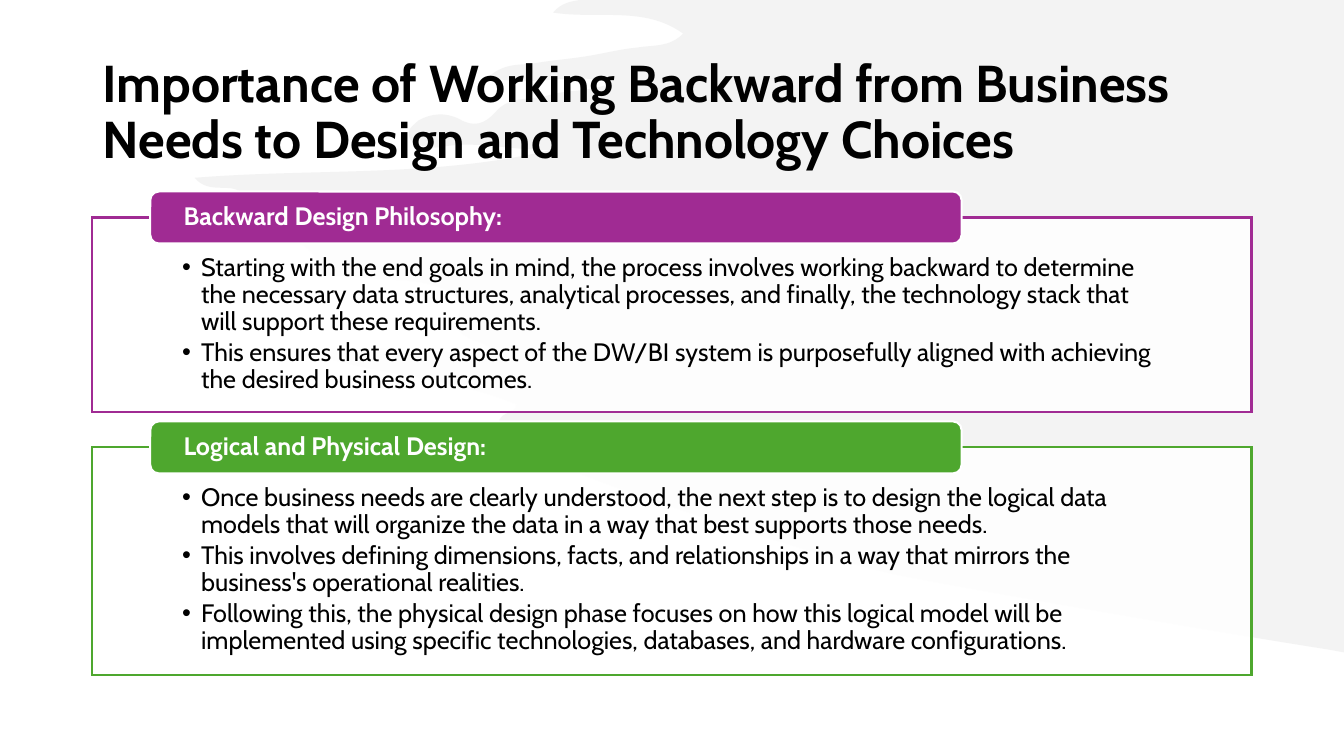
from dataclasses import dataclass
from typing import Any

from lxml.etree import SubElement
from pptx import Presentation
from pptx.dml.color import RGBColor
from pptx.enum.shapes import MSO_SHAPE
from pptx.enum.text import MSO_ANCHOR, PP_ALIGN
from pptx.oxml.ns import qn
from pptx.util import Pt

FONT = "Cabin"
COLORS = {
    "black": "000000",
    "white": "FFFFFF",
    "brush": "E8E8E8",
    "purple": "A02B93",
    "green": "4EA72E",
}

# Brush-stroke outline: a start point, then cubic curves (two controls and an end)
BRUSH_START = (414, 0)
BRUSH_CURVES = [
    (408, 1, 401, 2, 395, 9), (428, 14, 460, 4, 488, 24),
    (478, 34, 467, 32, 455, 34), (444, 35, 432, 38, 420, 40),
    (408, 42, 395, 43, 383, 45), (373, 47, 361, 44, 349, 55),
    (379, 63, 408, 51, 438, 59), (420, 66, 405, 64, 392, 68),
    (379, 72, 364, 68, 354, 80), (346, 89, 338, 91, 328, 85),
    (318, 80, 308, 81, 299, 86), (296, 89, 292, 91, 292, 95),
    (292, 102, 297, 103, 301, 104), (305, 105, 310, 106, 315, 105),
    (341, 100, 367, 108, 394, 107), (310, 127, 226, 120, 139, 127),
    (150, 140, 165, 129, 174, 139), (166, 160, 168, 171, 186, 172),
    (202, 174, 219, 166, 228, 191), (230, 199, 246, 197, 256, 198),
    (276, 201, 298, 198, 318, 207), (326, 211, 331, 214, 328, 224),
    (323, 234, 328, 238, 336, 242), (341, 245, 348, 244, 352, 253),
    (308, 252, 266, 245, 222, 252), (270, 269, 322, 269, 369, 289),
    (367, 297, 356, 293, 356, 304), (380, 315, 410, 307, 436, 324),
    (420, 332, 407, 320, 392, 327), (397, 338, 605, 404, 642, 411),
    (704, 423, 860, 450, 949, 464),
]
BRUSH_CORNERS = [(960, 466), (960, 0)]


@dataclass
class Panel:
    heading: str
    points: list[str]
    color: str
    top: float
    height: float


PANELS = [
    Panel(
        "Backward Design Philosophy:",
        [
            "Starting with the end goals in mind, the process involves working backward to "
            "determine the necessary data structures, analytical processes, and finally, the "
            "technology stack that will support these requirements.",
            "This ensures that every aspect of the DW/BI system is purposefully aligned with "
            "achieving the desired business outcomes.",
        ],
        "purple", 155.4, 139,
    ),
    Panel(
        "Logical and Physical Design:",
        [
            "Once business needs are clearly understood, the next step is to design the logical "
            "data models that will organize the data in a way that best supports those needs.",
            "This involves defining dimensions, facts, and relationships in a way that mirrors "
            "the business's operational realities.",
            "Following this, the physical design phase focuses on how this logical model will be "
            "implemented using specific technologies, databases, and hardware configurations.",
        ],
        "green", 319.6, 162.7,
    ),
]
PANEL_LEFT, PANEL_WIDTH = 66, 828
TAB_LEFT, TAB_WIDTH, TAB_HEIGHT = 107.3, 579.6, 37.2
TAB_RISE = 18.6


def paint(shape: Any, fill: str, line: str | None = None, alpha: int = 100) -> None:
    shape.shadow.inherit = False
    shape.fill.solid()
    shape.fill.fore_color.rgb = RGBColor.from_string(COLORS[fill])
    if alpha < 100:
        tint = shape.fill._xPr.find(qn("a:solidFill"))[0]
        SubElement(tint, qn("a:alpha")).set("val", str(alpha * 1000))
    if line:
        shape.line.color.rgb = RGBColor.from_string(COLORS[line])
        shape.line.width = Pt(1.5)
        SubElement(shape.line._get_or_add_ln(), qn("a:miter")).set("lim", "800000")
    else:
        shape.line.fill.background()


def write(box: Any, texts: list[str], *, size: float, color: str, bold: bool = False,
          margins: tuple[float, float, float, float] = (7.2, 3.6, 7.2, 3.6),
          anchor: MSO_ANCHOR = MSO_ANCHOR.MIDDLE, bullets: bool = False) -> None:
    frame = box.text_frame
    frame.word_wrap = True
    frame.vertical_anchor = anchor
    (frame.margin_left, frame.margin_top,
     frame.margin_right, frame.margin_bottom) = map(Pt, margins)
    for index, text in enumerate(texts):
        para = frame.add_paragraph() if index else frame.paragraphs[0]
        para.alignment = PP_ALIGN.LEFT
        para.line_spacing = 0.9
        if bullets:
            para.space_after = Pt(2.7)
            properties = para._p.get_or_add_pPr()
            properties.set("marL", str(Pt(13.5)))
            properties.set("indent", str(-Pt(13.5)))
            SubElement(properties, qn("a:buFont")).set("typeface", "Arial")
            SubElement(properties, qn("a:buChar")).set("char", "•")
        span = para.add_run()
        span.text = text
        span.font.name = FONT
        span.font.size = Pt(size)
        span.font.bold = bold
        span.font.color.rgb = RGBColor.from_string(COLORS[color])


def draw_brush(page: Any) -> None:
    builder = page.shapes.build_freeform(*BRUSH_START, scale=Pt(1))
    vertices = [pair for curve in BRUSH_CURVES
                for pair in zip(curve[::2], curve[1::2])]
    builder.add_line_segments(vertices + BRUSH_CORNERS, close=True)
    brush = builder.convert_to_shape()
    paint(brush, "brush", alpha=50)

    # Turn each three vertices into one cubic curve
    segments = list(brush._element.iter(qn("a:lnTo")))[:len(vertices)]
    for first, second, end in zip(segments[::3], segments[1::3], segments[2::3]):
        outline = first.getparent()
        curve = SubElement(outline, qn("a:cubicBezTo"))
        outline.replace(first, curve)
        curve.extend([first[0], second[0], end[0]])
        outline.remove(second)
        outline.remove(end)


def draw_panel(page: Any, panel: Panel) -> None:
    body = page.shapes.add_shape(MSO_SHAPE.RECTANGLE, Pt(PANEL_LEFT), Pt(panel.top),
                                 Pt(PANEL_WIDTH), Pt(panel.height))
    paint(body, "white", panel.color, alpha=90)
    write(body, panel.points, size=18, color="black", margins=(64.2, 26.4, 64.2, 10),
          anchor=MSO_ANCHOR.TOP, bullets=True)
    tab = page.shapes.add_shape(MSO_SHAPE.ROUNDED_RECTANGLE, Pt(TAB_LEFT),
                                Pt(panel.top - TAB_RISE), Pt(TAB_WIDTH), Pt(TAB_HEIGHT))
    paint(tab, panel.color, "white")
    write(tab, [panel.heading], size=18, color="white", bold=True, margins=(22, 0, 22, 0))


def main() -> None:
    deck = Presentation()
    deck.slide_width, deck.slide_height = Pt(960), Pt(540)
    page = deck.slides.add_slide(deck.slide_layouts[6])

    # Background
    draw_brush(page)

    # Title
    title = page.shapes.add_textbox(Pt(66.2), Pt(28.8), Pt(828), Pt(104.4))
    write(title, ["Importance of Working Backward from Business Needs to Design "
                  "and Technology Choices"], size=37, color="black", bold=True)

    # Panels
    for panel in PANELS:
        draw_panel(page, panel)

    deck.save("out.pptx")


if __name__ == "__main__":
    main()
